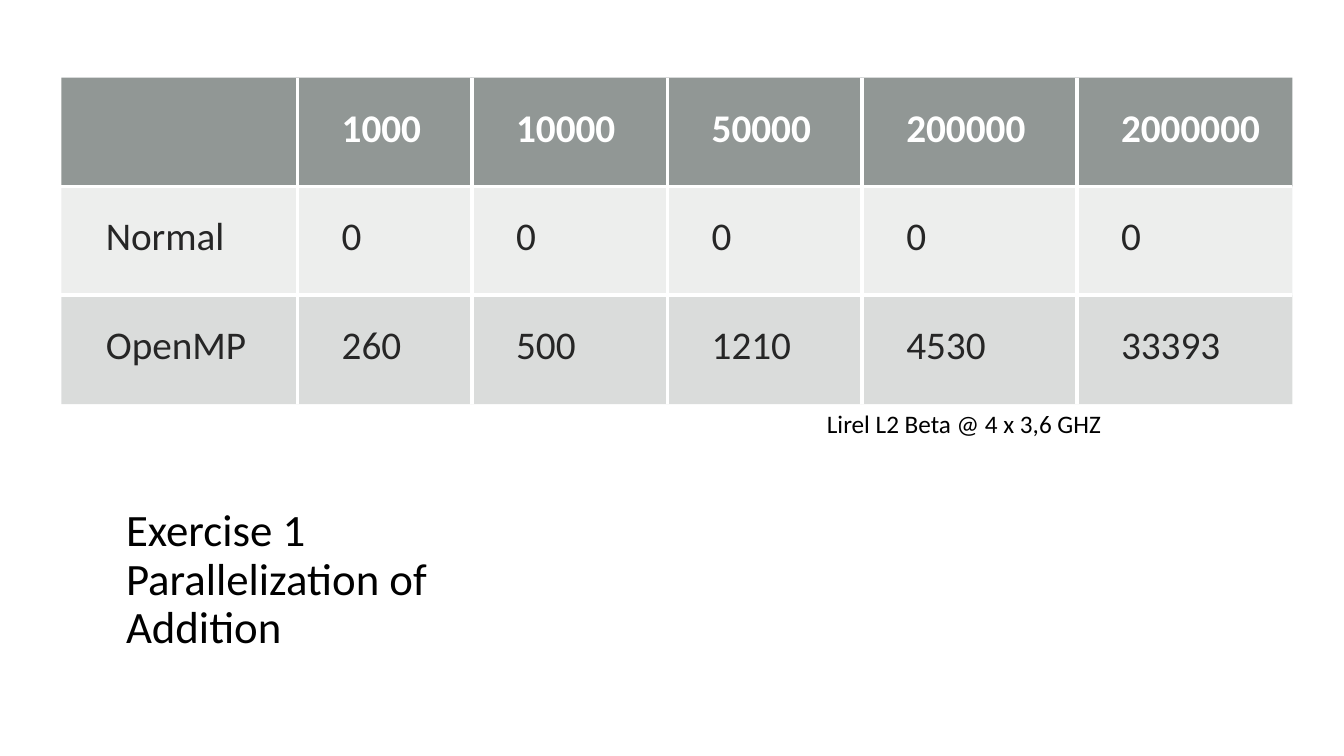
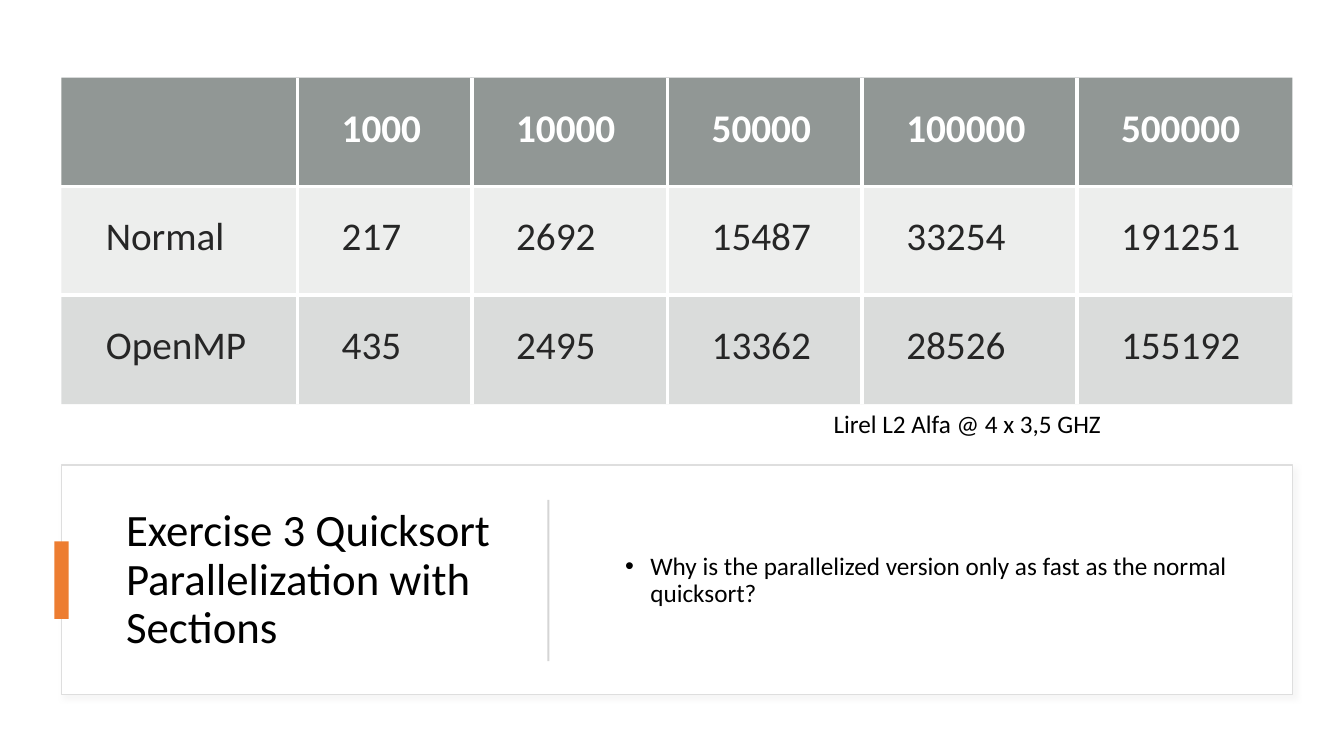
from dataclasses import dataclass
from typing import Any

from lxml import etree
from pptx import Presentation
from pptx import util as u
from pptx.dml.color import RGBColor
from pptx.enum import shapes, text
from pptx.oxml import ns, parse_xml

# Scale: 100 px to the inch
PX = 9144
FONT = "Calibri"

WHITE = RGBColor(0xFF, 0xFF, 0xFF)
BLACK = RGBColor(0, 0, 0)
INK = RGBColor(0x26, 0x26, 0x26)
SLATE = RGBColor(0x63, 0x6B, 0x68)
GREY = RGBColor(0x87, 0x8E, 0x8B)
EDGE = RGBColor(0xDE, 0xDE, 0xDE)
RULE = RGBColor(0xD5, 0xD5, 0xD5)
ORANGE = RGBColor(0xED, 0x7D, 0x31)
SHADE = RGBColor(0xC5, 0xC3, 0xC3)

COLS = (234, 173, 194, 193, 213, 214)
ROW = 108
PLAIN = "{2D5ABB26-0587-4C30-8999-92F81FD0307C}"


@dataclass(frozen=True)
class Box:
    left: int
    top: int
    width: int
    height: int


@dataclass(frozen=True)
class Band:
    fill: RGBColor
    alpha: int
    font: dict[str, Any]


@dataclass(frozen=True)
class Page:
    title: str
    sizes: tuple[int, ...]
    normal: tuple[int, ...]
    openmp: tuple[int, ...]
    chip: str
    query: str = ""


GRID = Box(61, 77, sum(COLS), 3 * ROW)
CARD = Box(61, 461, 1221, 228)
MARK = Box(54, 537, 14, 77)
LINE = Box(543, 496, 2, 160)
TITLE = Box(115, 486, 389, 180)
BODY = Box(585, 486, 657, 180)
NOTE = Box(295, 400, 807, 40)

BODY_TEXT = dict(name=FONT, size=u.Pt(28), bold=False)
BANDS = (
    Band(SLATE, 70, BODY_TEXT | dict(bold=True, color=WHITE)),
    Band(GREY, 15, BODY_TEXT | dict(color=INK)),
    Band(GREY, 30, BODY_TEXT | dict(color=INK)),
)
HEAD = dict(name=FONT, size=u.Pt(32), bold=False, color=BLACK)
SMALL = HEAD | dict(size=u.Pt(18))

PAGES = (
    Page("Exercise 1 Parallelization of Addition",
         (1000, 10000, 50000, 200000, 2000000),
         (0, 0, 0, 0, 0),
         (260, 500, 1210, 4530, 33393),
         "Lirel L2 Beta @ 4 x 3,6 GHZ"),
    Page("Exercise 3 Quicksort Parallelization with Sections",
         (1000, 10000, 50000, 100000, 500000),
         (217, 2692, 15487, 33254, 191251),
         (435, 2495, 13362, 28526, 155192),
         "Lirel L2 Alfa @ 4 x 3,5 GHZ",
         "Why is the parallelized version only as fast as the normal quicksort?"),
)


# Formatting helpers
def apply(item: Any, values: dict[str, Any]) -> None:
    for key, val in values.items():
        if key == "color":
            item.color.rgb = val
        else:
            setattr(item, key, val)


def span(box: Box) -> list[int]:
    return [n * PX for n in (box.left, box.top, box.width, box.height)]


def place(shape: Any, box: Box) -> None:
    keys = ("left", "top", "width", "height")
    apply(shape, dict(zip(keys, span(box))))


def write(frame: Any, words: str, font: dict[str, Any], para: dict[str, Any],
          **form: Any) -> Any:
    apply(frame, dict(word_wrap=True, auto_size=text.MSO_AUTO_SIZE.NONE) | form)
    first = frame.paragraphs[0]
    run = first.add_run()
    run.text = words
    apply(run.font, font)
    apply(first, para)
    return first


def xml(body: str) -> Any:
    return parse_xml(body.replace(" ", f" {ns.nsdecls('a')} ", 1))


# Table
def edge(cell: Any, sides: list[str]) -> None:
    props = cell._tc.get_or_add_tcPr()
    for pos, side in enumerate(sides):
        props.insert(pos, xml(
            f'<a:{side} w="{u.Pt(3)}"><a:solidFill><a:srgbClr val="{WHITE}"/>'
            f'</a:solidFill></a:{side}>'))


def paint(cell: Any, band: Band) -> None:
    cell.fill.solid()
    cell.fill.fore_color.rgb = band.fill
    tint = cell._tc.tcPr.find(".//" + ns.qn("a:srgbClr"))
    etree.SubElement(tint, ns.qn("a:alpha"), val=str(band.alpha * 1000))


def grid(slide: Any, page: Page) -> None:
    rows = (("", *page.sizes), ("Normal", *page.normal), ("OpenMP", *page.openmp))
    frame = slide.shapes.add_table(len(rows), len(COLS), *span(GRID))
    table = frame.table
    apply(table, dict(first_row=False, horz_banding=False))
    table._tbl.tblPr.find(ns.qn("a:tableStyleId")).text = PLAIN
    for col, width in zip(table.columns, COLS):
        col.width = width * PX
    pads = dict(margin_left=44 * PX, margin_top=27 * PX,
                margin_right=27 * PX, margin_bottom=27 * PX)
    for r, (row, band) in enumerate(zip(rows, BANDS)):
        table.rows[r].height = ROW * PX
        for c, val in enumerate(row):
            cell = table.cell(r, c)
            apply(cell, pads)
            paint(cell, band)
            inner = dict(lnL=c > 0, lnR=c < len(COLS) - 1,
                         lnT=r > 0, lnB=r < len(rows) - 1)
            edge(cell, [side for side, on in inner.items() if on])
            if val != "":
                write(cell.text_frame, str(val), band.font, {})


# Card behind the title and question
def block(slide: Any, box: Box, fill: RGBColor) -> Any:
    shape = slide.shapes.add_shape(shapes.MSO_SHAPE.RECTANGLE, *span(box))
    shape.shadow.inherit = False
    shape.fill.solid()
    shape.fill.fore_color.rgb = fill
    shape.line.fill.background()
    return shape


def card(slide: Any) -> None:
    panel = block(slide, CARD, WHITE)
    apply(panel.line, dict(color=EDGE, width=u.Pt(1.25)))
    glow = panel._element.spPr.find(ns.qn("a:effectLst"))
    glow.append(xml(
        f'<a:outerShdw blurRad="{u.Pt(4)}" dist="{u.Pt(3)}" dir="2700000" '
        f'algn="tl" rotWithShape="0"><a:srgbClr val="{SHADE}">'
        f'<a:alpha val="15000"/></a:srgbClr></a:outerShdw>'))
    block(slide, MARK, ORANGE)
    block(slide, LINE, RULE)


def raise_up(shape: Any) -> None:
    shape._element.getparent().append(shape._element)


# Text parts
def title(slide: Any, words: str) -> None:
    head = slide.shapes.title
    place(head, TITLE)
    write(head.text_frame, words, HEAD,
          dict(alignment=text.PP_ALIGN.LEFT, line_spacing=0.9),
          vertical_anchor=text.MSO_ANCHOR.MIDDLE)
    raise_up(head)


def query(slide: Any, words: str) -> None:
    body = slide.placeholders[1]
    place(body, BODY)
    para = write(body.text_frame, words, SMALL,
                 dict(line_spacing=0.9, space_before=u.Pt(0), space_after=u.Pt(6)),
                 vertical_anchor=text.MSO_ANCHOR.MIDDLE)
    props = para._p.get_or_add_pPr()
    for key, val in dict(marL=50, indent=-25).items():
        props.set(key, str(val * PX))
    props.append(xml('<a:buFont typeface="Arial"/>'))
    props.append(xml('<a:buChar char="•"/>'))
    raise_up(body)


def note(slide: Any, words: str) -> None:
    box = slide.shapes.add_textbox(*span(NOTE))
    write(box.text_frame, words, SMALL, dict(alignment=text.PP_ALIGN.RIGHT))


def build(deck: Any, page: Page) -> None:
    slide = deck.slides.add_slide(deck.slide_layouts[1 if page.query else 5])
    if page.query:
        card(slide)
    title(slide, page.title)
    if page.query:
        query(slide, page.query)
    grid(slide, page)
    note(slide, page.chip)


def main() -> None:
    deck = Presentation()
    apply(deck, dict(slide_width=u.Inches(13.33), slide_height=u.Inches(7.5)))
    for page in PAGES:
        build(deck, page)
    deck.save("out.pptx")


if __name__ == "__main__":
    main()
